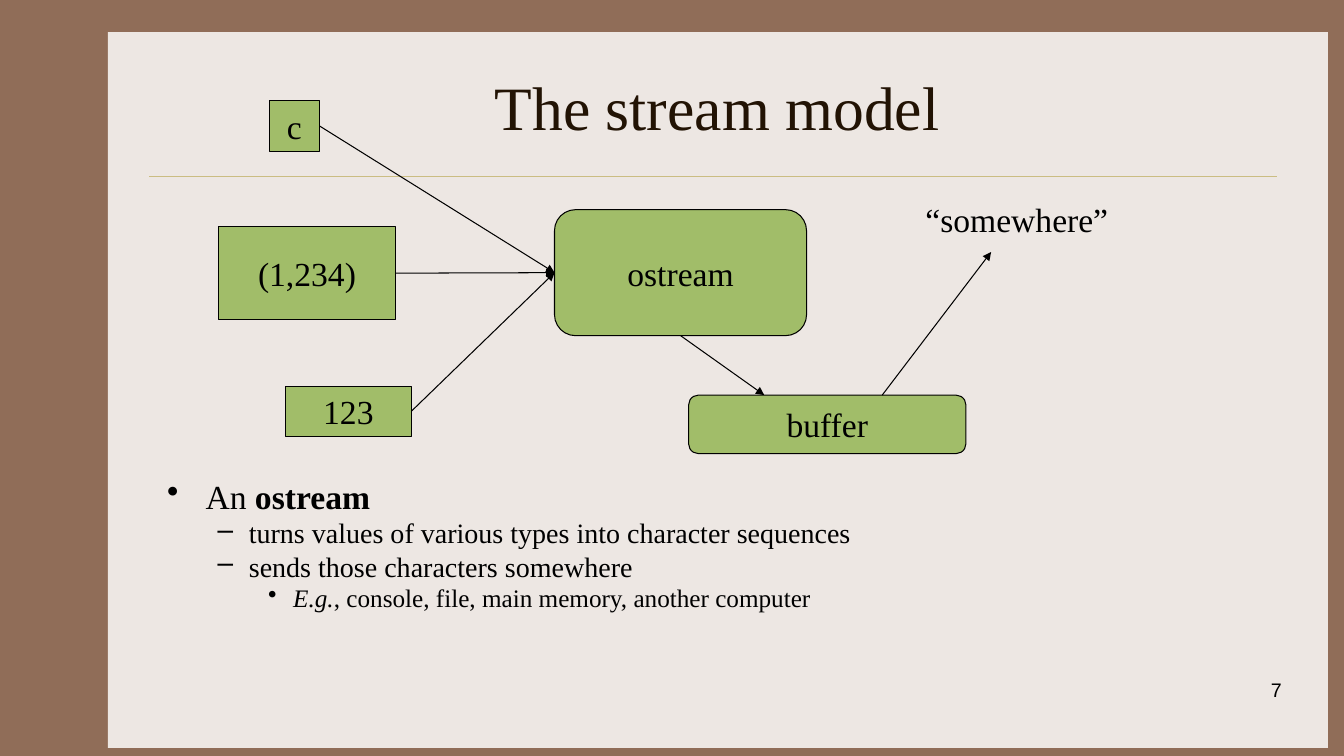
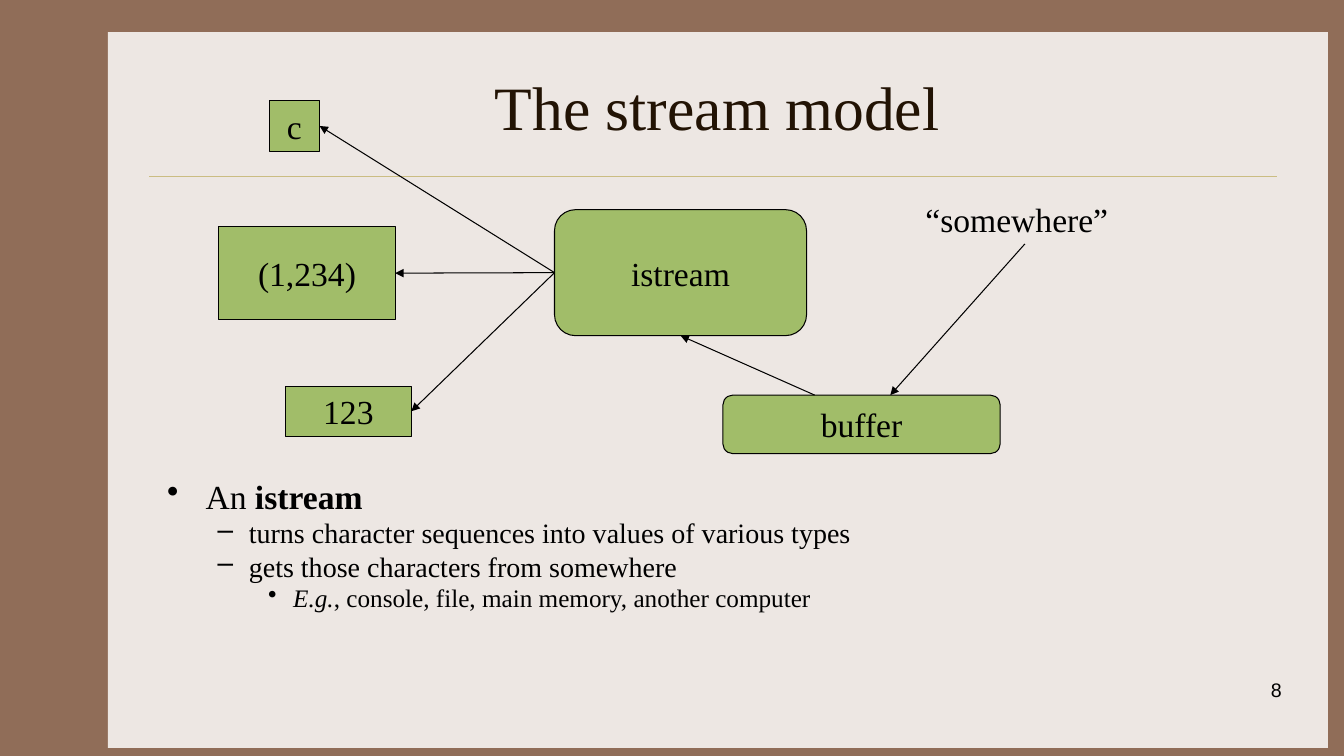
from dataclasses import dataclass

from lxml.etree import SubElement
from pptx import Presentation
from pptx.dml.color import RGBColor
from pptx.enum.shapes import MSO_CONNECTOR, MSO_SHAPE
from pptx.enum.text import MSO_ANCHOR, PP_ALIGN
from pptx.oxml.ns import qn
from pptx.util import Inches, Pt


@dataclass(frozen=True)
class Theme:
    background: str = "906D58"
    panel: str = "EDE7E3"
    divider: str = "CBBD83"
    title: str = "221304"
    ink: str = "000000"
    box: str = "A1BD69"
    serif: str = "Times New Roman"
    sans: str = "Arial"
    title_size: int = 44
    label_size: int = 24
    number_size: int = 14
    outline: float = 0.75
    hairline: float = 0.25


THEME = Theme()
BOTTOM, RIGHT, LEFT = 2, 3, 1

PANEL = (1.07, 0.32, 12.1, 7.1)
DIVIDER = ((1.48, 1.75), (12.67, 1.75))
TITLE_AREA = (1.56, 0.42, 11.11, 1.25)
BODY_AREA = (1.56, 4.75, 11.11, 1.67)
NUMBER_AREA = (10.03, 6.68, 2.78, 0.5)
SOMEWHERE_AREA = (9.08, 1.92, 2.17, 0.5)
STREAM_AREA = (5.5, 2.08, 2.5, 1.25)
BUFFER_TOP, BUFFER_WIDTH, BUFFER_HEIGHT = 3.92, 2.75, 0.58

VALUES = [
    ("c", (2.67, 1, 0.5, 0.5)),
    ("(1,234)", (2.17, 2.25, 1.75, 0.92)),
    ("123", (2.83, 3.83, 1.25, 0.5)),
]

# Bullet, text indent, hanging indent, type size and space before by level
LEVELS = [
    ("•", 0.38, 0.38, 24, 5.5),
    ("–", 0.81, 0.31, 20, 4.5),
    ("•", 1.25, 0.25, 18, 4),
]
EXAMPLES = (2, [("E.g.", {"italic": True}),
                (", console, file, main memory, another computer", {})])

# An arrow end is a (part name, side) pair or a point in inches.
SLIDES = [
    {
        "number": 7,
        "stream": "ostream",
        "buffer_left": 6.83,
        "points": ["turns values of various types into character sequences",
                   "sends those characters somewhere"],
        "arrows": [((value, RIGHT), ("stream", LEFT)) for value, _ in VALUES] + [
            (("stream", BOTTOM), (7.58, BUFFER_TOP)),
            ((8.75, BUFFER_TOP), (9.83, 2.5)),
        ],
    },
    {
        "number": 8,
        "stream": "istream",
        "buffer_left": 7.17,
        "points": ["turns character sequences into values of various types",
                   "gets those characters from somewhere"],
        "arrows": [
            (("somewhere", BOTTOM), (8.83, BUFFER_TOP)),
            ((8.08, BUFFER_TOP), ("stream", BOTTOM)),
        ] + [(("stream", LEFT), (value, RIGHT)) for value, _ in VALUES],
    },
]


def inches(values):
    return [Inches(value) for value in values]


def add_run(paragraph, text, size, color=THEME.ink, font=THEME.serif, **emphasis):
    run = paragraph.add_run()
    run.text = text
    run.font.color.rgb = RGBColor.from_string(color)
    formats = {"size": Pt(size), "name": font, **emphasis}
    for attribute, value in formats.items():
        setattr(run.font, attribute, value)


def add_text(slide, area, text, size, align=PP_ALIGN.LEFT, anchor=MSO_ANCHOR.TOP, **font):
    shape = slide.shapes.add_textbox(*inches(area))
    frame = shape.text_frame
    frame.word_wrap = True
    frame.vertical_anchor = anchor
    frame.paragraphs[0].alignment = align
    add_run(frame.paragraphs[0], text, size, **font)
    return shape


def add_filled(slide, kind, area, fill):
    shape = slide.shapes.add_shape(kind, *inches(area))
    shape.shadow.inherit = False
    shape.fill.solid()
    shape.fill.fore_color.rgb = RGBColor.from_string(fill)
    shape.line.fill.background()
    return shape


def add_box(slide, kind, area, label):
    shape = add_filled(slide, kind, area, THEME.box)
    shape.line.color.rgb = RGBColor.from_string(THEME.ink)
    shape.line.width = Pt(THEME.outline)
    frame = shape.text_frame
    frame.word_wrap = False
    frame.vertical_anchor = MSO_ANCHOR.MIDDLE
    frame.paragraphs[0].alignment = PP_ALIGN.CENTER
    add_run(frame.paragraphs[0], label, THEME.label_size)
    return shape


def add_line(slide, start, end, color, width):
    line = slide.shapes.add_connector(MSO_CONNECTOR.STRAIGHT, *inches(start + end))
    line.line.color.rgb = RGBColor.from_string(color)
    line.line.width = Pt(width)
    SubElement(line._element.spPr, qn("a:effectLst"))
    return line


def add_arrow(slide, parts, start, end):
    """Draw an arrow, joining each end that names a part to that part's side."""
    joined = [point[0] in parts for point in (start, end)]
    places = [(0, 0) if is_joined else point
              for point, is_joined in zip((start, end), joined)]
    arrow = add_line(slide, *places, THEME.ink, THEME.outline)
    connects = (arrow.begin_connect, arrow.end_connect)
    for connect, point, is_joined in zip(connects, (start, end), joined):
        if is_joined:
            name, side = point
            connect(parts[name], side)
    SubElement(arrow.line._get_or_add_ln(), qn("a:tailEnd"), type="triangle")


def add_outline(slide, items):
    shape = slide.shapes.add_textbox(*inches(BODY_AREA))
    frame = shape.text_frame
    frame.word_wrap = True
    for index, (level, runs) in enumerate(items):
        bullet, indent, hanging, size, space = LEVELS[level]
        paragraph = frame.add_paragraph() if index else frame.paragraphs[0]
        formats = {"level": level, "line_spacing": 0.8, "space_before": Pt(space)}
        for attribute, value in formats.items():
            setattr(paragraph, attribute, value)
        properties = paragraph._p.get_or_add_pPr()
        properties.set("marL", str(Inches(indent)))
        properties.set("indent", str(-Inches(hanging)))
        SubElement(properties, qn("a:buChar"), char=bullet)
        for text, emphasis in runs:
            add_run(paragraph, text, size, **emphasis)


def add_frame(slide, number):
    """Add what every slide shares: background, panel, divider, title, number."""
    slide.background.fill.solid()
    slide.background.fill.fore_color.rgb = RGBColor.from_string(THEME.background)
    add_filled(slide, MSO_SHAPE.RECTANGLE, PANEL, THEME.panel)
    add_line(slide, *DIVIDER, THEME.divider, THEME.hairline)
    add_text(slide, TITLE_AREA, "The stream model", THEME.title_size,
             PP_ALIGN.CENTER, MSO_ANCHOR.MIDDLE, color=THEME.title)
    add_text(slide, NUMBER_AREA, str(number), THEME.number_size,
             PP_ALIGN.RIGHT, font=THEME.sans)


def add_diagram(slide, content):
    parts = {label: add_box(slide, MSO_SHAPE.RECTANGLE, area, label)
             for label, area in VALUES}
    buffer_area = (content["buffer_left"], BUFFER_TOP, BUFFER_WIDTH, BUFFER_HEIGHT)
    rounded = [("stream", STREAM_AREA, content["stream"]),
               ("buffer", buffer_area, "buffer")]
    for name, area, label in rounded:
        parts[name] = add_box(slide, MSO_SHAPE.ROUNDED_RECTANGLE, area, label)
    parts["somewhere"] = add_text(slide, SOMEWHERE_AREA, "“somewhere”", THEME.label_size)
    for start, end in content["arrows"]:
        add_arrow(slide, parts, start, end)


def main():
    presentation = Presentation()
    presentation.slide_width = Inches(13.33)
    presentation.slide_height = Inches(7.5)
    for content in SLIDES:
        slide = presentation.slides.add_slide(presentation.slide_layouts[6])
        add_frame(slide, content["number"])
        heading = (0, [("An ", {}), (content["stream"], {"bold": True})])
        points = [(1, [(point, {})]) for point in content["points"]]
        add_outline(slide, [heading, *points, EXAMPLES])
        add_diagram(slide, content)
    presentation.save("out.pptx")


if __name__ == "__main__":
    main()
